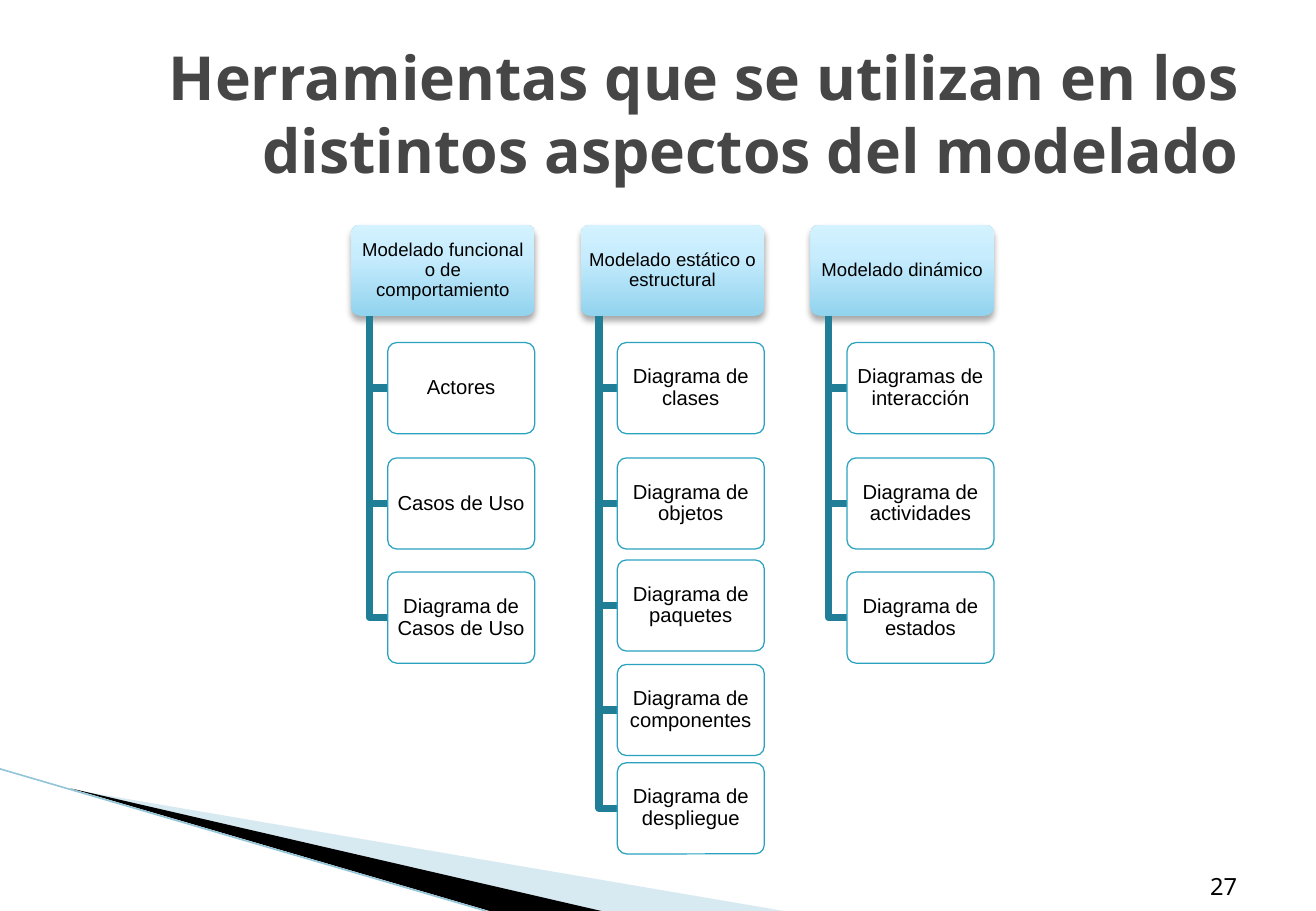
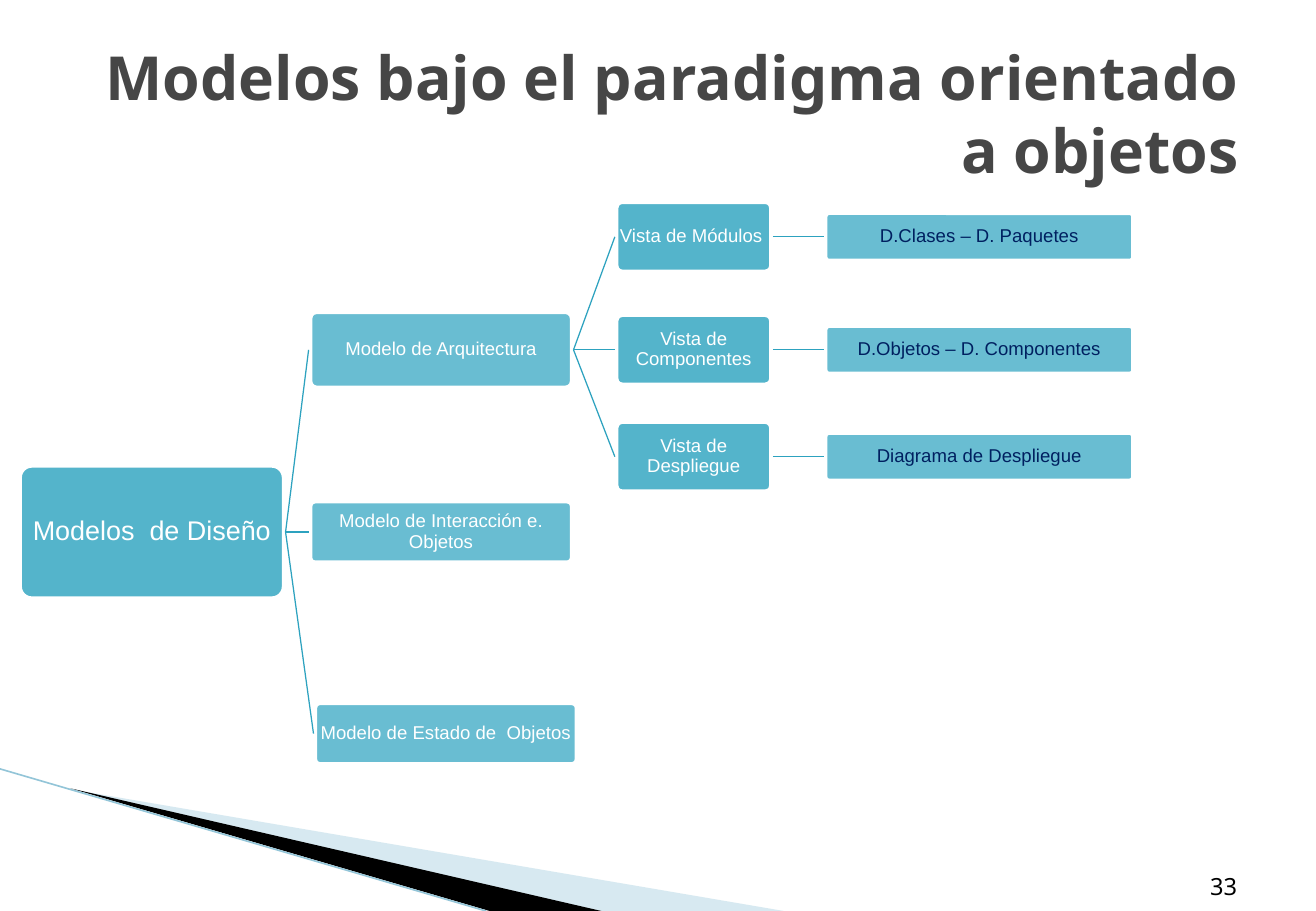
from lxml.etree import SubElement
from pptx import Presentation
from pptx.dml.color import RGBColor
from pptx.enum.shapes import MSO_CONNECTOR, MSO_SHAPE
from pptx.enum.text import MSO_ANCHOR, PP_ALIGN
from pptx.oxml.ns import qn
from pptx.util import Inches, Pt

HUES = {
    "title": "464646", "ink": "000000", "paper": "FFFFFF", "navy": "002060",
    "teal": "2AA2BF", "link": "2DA2BF", "stem": "207F97",
    "mist": "9CCADC", "edge": "93C5D8",
    "low": "92D3EE", "mid": "C6ECFD", "high": "D4F2FF",
}
RIGHT, LEFT = 3, 1


def hue(name):
    return RGBColor.from_string(HUES[name])


def write(frame, text, size=11, font="Arial", color="ink", bold=False,
          align=PP_ALIGN.CENTER, anchor=MSO_ANCHOR.MIDDLE,
          inset=(0.02, 0.02), lead=0.9):
    frame.word_wrap = True
    frame.vertical_anchor = anchor
    frame.margin_left = frame.margin_right = Inches(inset[0])
    frame.margin_top = frame.margin_bottom = Inches(inset[1])
    para = frame.paragraphs[0]
    para.alignment = align
    para.line_spacing = lead
    run = para.add_run()
    run.text = text
    run.font.size = Pt(size)
    run.font.name = font
    run.font.bold = bold
    run.font.color.rgb = hue(color)


class Deck:
    def __init__(self):
        self.file = Presentation()
        self.file.slide_width = Inches(10.83)
        self.file.slide_height = Inches(7.5)
        self.slide = None

    def page(self, title, number):
        self.slide = self.file.slides.add_slide(self.file.slide_layouts[6])
        self.trace([(0.59, 6.5), (6.45, 7.5), (4.94, 7.5)], fill="mist", alpha=40)
        self.trace([(0.58, 6.49), (4.95, 7.5), (4.03, 7.5)], fill="ink")
        self.line((0, 6.33), (4, 7.5), "edge", 0.95)
        self.label(title, 0.54, 0.3, 9.75, 1.25, size=36, color="title", bold=True)
        self.label(str(number), 8.91, 6.95, 1.37, 0.51, size=14,
                   anchor=MSO_ANCHOR.BOTTOM)

    def label(self, text, left, top, width, height, **form):
        box = self.slide.shapes.add_textbox(
            Inches(left), Inches(top), Inches(width), Inches(height))
        write(box.text_frame, text, font="Noto Sans", align=PP_ALIGN.RIGHT,
              inset=(0.1, 0.05), lead=1.0, **form)

    def paint(self, shape, fill, alpha=100, line=None, weight=0.75):
        shape.shadow.inherit = False
        if fill:
            shape.fill.solid()
            shape.fill.fore_color.rgb = hue(fill)
            if alpha < 100:
                tone = shape.element.spPr.find(qn("a:solidFill"))[0]
                SubElement(tone, qn("a:alpha"), val=str(alpha * 1000))
        else:
            shape.fill.background()
        if line:
            shape.line.color.rgb = hue(line)
            shape.line.width = Pt(weight)
        else:
            shape.line.fill.background()

    def trace(self, points, closed=True, **look):
        spots = [(Inches(x), Inches(y)) for x, y in points]
        pen = self.slide.shapes.build_freeform(*spots[0])
        pen.add_line_segments(spots[1:], close=closed)
        self.paint(pen.convert_to_shape(), **look)

    def line(self, start, end, color, weight):
        wire = self.slide.shapes.add_connector(
            MSO_CONNECTOR.STRAIGHT, *(Inches(n) for n in start + end))
        wire.line.color.rgb = hue(color)
        wire.line.width = Pt(weight)
        SubElement(wire.element.spPr, qn("a:effectLst"))
        return wire

    def join(self, first, last):
        wire = self.line((0, 0), (1, 1), "link", 0.75)
        wire.begin_connect(first, RIGHT)
        wire.end_connect(last, LEFT)

    def box(self, text, left, top, width, height, look, **form):
        shape = self.slide.shapes.add_shape(
            MSO_SHAPE.ROUNDED_RECTANGLE, Inches(left), Inches(top),
            Inches(width), Inches(height))
        shape.adjustments[0] = 0.1
        self.paint(shape, **look)
        write(shape.text_frame, text, **form)
        return shape

    def head(self, text, left, top, width, height):
        shape = self.box(text, left, top, width, height, {"fill": "low"})
        shape.fill.gradient()
        shape.fill.gradient_angle = 90
        props = shape.element.spPr
        stops = props.find(qn("a:gradFill")).find(qn("a:gsLst"))
        for old in list(stops):
            stops.remove(old)
        for place, name in ((0, "low"), (65, "mid"), (100, "high")):
            stop = SubElement(stops, qn("a:gs"), pos=str(place * 1000))
            SubElement(stop, qn("a:srgbClr"), val=HUES[name])
        shade = SubElement(props.find(qn("a:effectLst")), qn("a:outerShdw"),
                           blurRad=str(Pt(4)), dist=str(Pt(3)), dir="5400000",
                           rotWithShape="0")
        tone = SubElement(shade, qn("a:srgbClr"), val=HUES["ink"])
        SubElement(tone, qn("a:alpha"), val="35000")

    def node(self, text, left, mid, width, height, alpha, **form):
        look = {"fill": "teal", "alpha": alpha, "line": "paper", "weight": 4.33}
        return self.box(text, left, mid - height / 2, width, height, look,
                        **{"color": "paper", **form})


def tools(deck):
    deck.page("Herramientas que se utilizan en los distintos aspectos del modelado", 27)
    even = (2.82, 3.77, 4.71)
    tight = (2.82, 3.77, 4.61, 5.47, 6.28)
    groups = [
        ("Modelado funcional o de comportamiento", even,
         ("Actores", "Casos de Uso", "Diagrama de Casos de Uso")),
        ("Modelado estático o estructural", tight,
         ("Diagrama de clases", "Diagrama de objetos", "Diagrama de paquetes",
          "Diagrama de componentes", "Diagrama de despliegue")),
        ("Modelado dinámico", even,
         ("Diagramas de interacción", "Diagrama de actividades",
          "Diagrama de estados")),
    ]
    top, width, height, step = 1.85, 1.51, 0.75, 0.15
    look = {"fill": "paper", "alpha": 90, "line": "teal"}
    for col, (name, rows, items) in enumerate(groups):
        left = 2.89 + 1.89 * col
        stem, inner = left + step, left + 2 * step
        deck.head(name, left, top, width, height)
        for row, item in zip(rows, items):
            mid = row + height / 2
            deck.trace([(stem, top + height), (stem, mid), (inner, mid)],
                       closed=False, fill=None, line="stem", weight=4.33)
            deck.box(item, inner, row, width - 2 * step, height, look, size=12)


def models(deck):
    deck.page("Modelos bajo el paradigma orientado a objetos", 33)
    root = deck.node("Modelos  de Diseño", 0.15, 4.38, 2.2, 1.12, 80, size=16)
    kinds = [
        deck.node(text, left, mid, 2.18, height, 70)
        for text, left, mid, height in (
            ("Modelo de Arquitectura", 2.54, 2.88, 0.65),
            ("Modelo de Interacción e. Objetos", 2.54, 4.38, 0.53),
            ("Modelo de Estado de  Objetos", 2.58, 6.04, 0.53))
    ]
    for kind in kinds:
        deck.join(root, kind)
    for view, chart, mid in (
            ("Vista de Módulos ", "D.Clases – D. Paquetes", 1.95),
            ("Vista de Componentes", "D.Objetos – D. Componentes", 2.88),
            ("Vista de Despliegue", "Diagrama de Despliegue", 3.76)):
        part = deck.node(view, 5.06, mid, 1.3, 0.6, 80)
        leaf = deck.node(chart, 6.78, mid, 2.56, 0.42, 70, color="navy")
        deck.join(kinds[0], part)
        deck.join(part, leaf)


def main():
    deck = Deck()
    tools(deck)
    models(deck)
    deck.file.save("out.pptx")


if __name__ == "__main__":
    main()
